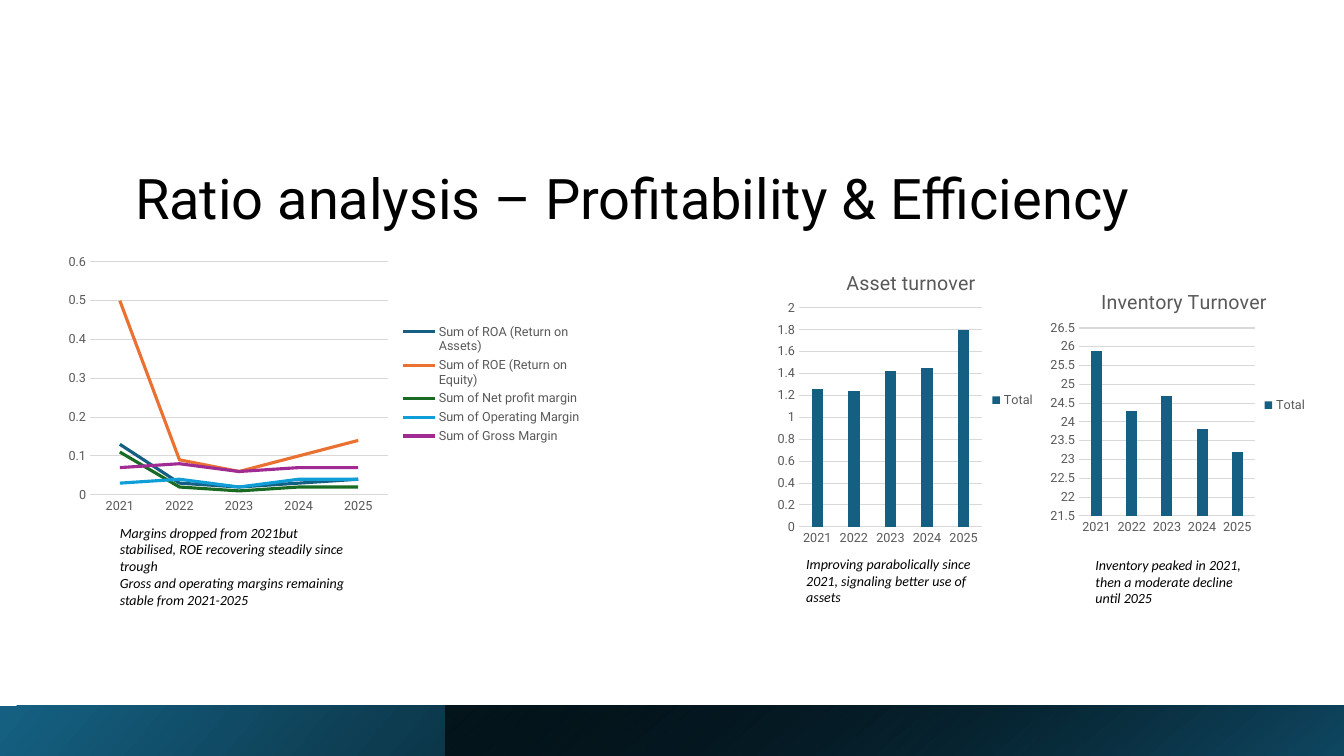
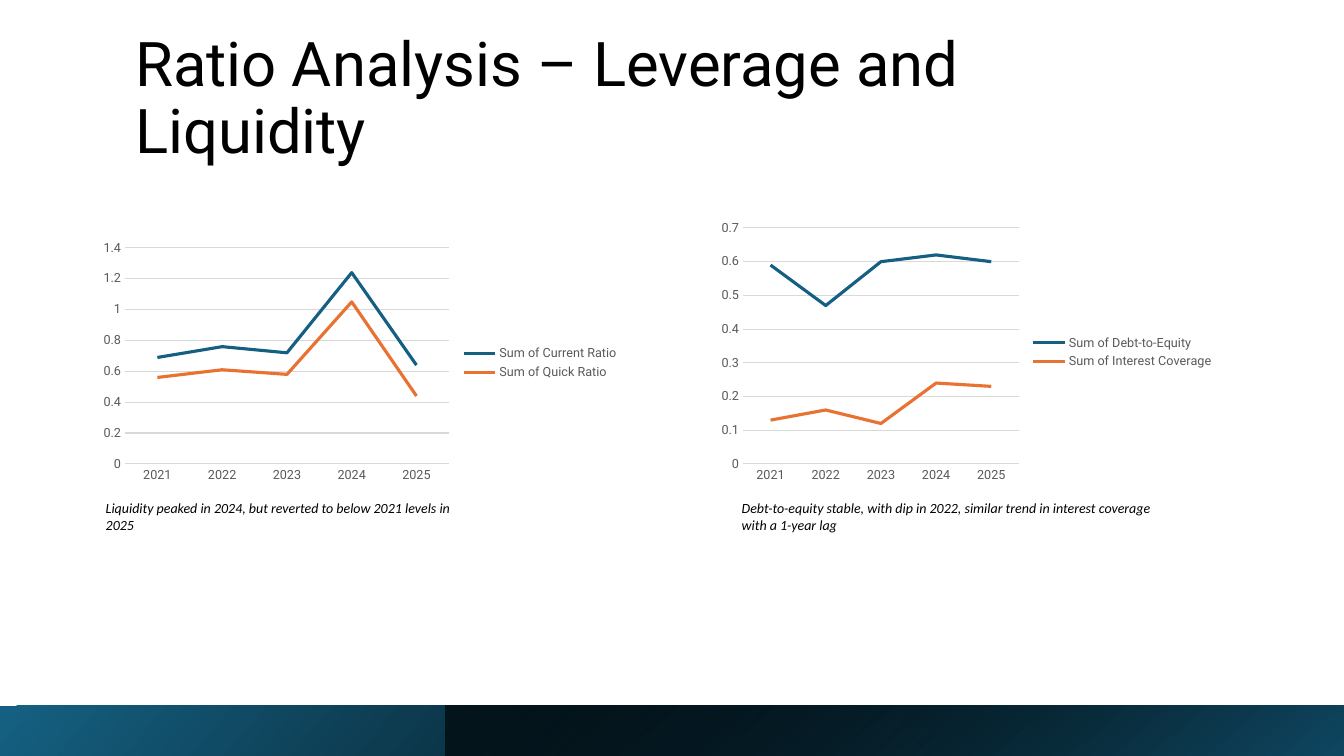
from lxml import etree
from pptx import Presentation
from pptx.chart.data import CategoryChartData
from pptx.dml.color import RGBColor
from pptx.enum import chart as ec, shapes, text
from pptx.oxml.ns import qn
from pptx.util import Pt

BLACK = RGBColor(0, 0, 0)
BLUE = RGBColor(0x15, 0x60, 0x82)
NAVY = RGBColor(0x10, 0x48, 0x62)
ORANGE = RGBColor(0xE9, 0x71, 0x32)
GREEN = RGBColor(0x19, 0x6B, 0x24)
SKY = RGBColor(0x0F, 0x9E, 0xD5)
PURPLE = RGBColor(0xA0, 0x2B, 0x93)
GRAY = RGBColor(0x59, 0x59, 0x59)
GRID = RGBColor(0xD9, 0xD9, 0xD9)
SERIES_COLORS = [BLUE, ORANGE, GREEN, SKY, PURPLE]

HEADING_FONT, NOTE_FONT = "Roboto", "Calibri"
WIDTH, HEIGHT, BAND_HEIGHT = 960, 540, 36
BAND_SPLIT = 318
YEARS = ["2021", "2022", "2023", "2024", "2025"]
LINE, COLUMN = ec.XL_CHART_TYPE.LINE, ec.XL_CHART_TYPE.COLUMN_CLUSTERED

SLIDES = [
    {
        "title": "Ratio analysis – Profitability & Efficiency",
        "title_size": 40,
        "title_box": (89.3, 39.6, 763.2, 129.6),
        "charts": [
            {"kind": LINE, "box": (41.8, 177.8, 380.9, 193),
             "plot": (64.3, 187.1, 212.9, 166.4), "scale": (0, 0.6, 0.1),
             "series": {
                 "Sum of ROA (Return on Assets)": [0.13, 0.03, 0.02, 0.03, 0.04],
                 "Sum of ROE (Return on Equity)": [0.5, 0.09, 0.06, 0.1, 0.14],
                 "Sum of Net profit margin": [0.11, 0.02, 0.01, 0.02, 0.02],
                 "Sum of Operating Margin": [0.03, 0.04, 0.02, 0.04, 0.04],
                 "Sum of Gross Margin": [0.07, 0.08, 0.06, 0.07, 0.07]}},
            {"kind": COLUMN, "box": (551.5, 177.8, 195.1, 216),
             "plot": (570.7, 220, 130.7, 156.4), "scale": (0, 2, 0.2),
             "title": "Asset turnover", "title_at": (602, 189.5),
             "series": {"Total": [1.26, 1.24, 1.42, 1.45, 1.8]}},
            {"kind": COLUMN, "box": (745.9, 193, 195.1, 193),
             "plot": (770.7, 234.3, 125.7, 134.3), "scale": (21.5, 26.5, 0.5),
             "title": "Inventory Turnover", "title_at": (784, 203.6),
             "series": {"Total": [25.9, 24.3, 24.7, 23.8, 23.2]}},
        ],
        "notes": [
            ((78.5, 370.8, 182.2, 67.7),
             "Margins dropped from 2021but stabilised, ROE recovering steadily since trough\n"
             "Gross and operating margins remaining stable from 2021-2025"),
            ((568.8, 393.1, 140.4, 43.9),
             "Improving parabolically since 2021, signaling better use of assets"),
            ((775.4, 393.8, 118.8, 43.9),
             "Inventory peaked in 2021, then a moderate decline until 2025"),
        ],
    },
    {
        "title": "Ratio Analysis – Leverage and Liquidity",
        "title_size": 44,
        "title_box": (89.3, 20, 763.2, 102.5),
        "charts": [
            {"kind": LINE, "box": (66.2, 169.2, 383, 180),
             "plot": (89.3, 177.1, 231.4, 154.3), "scale": (0, 1.4, 0.2),
             "series": {
                 "Sum of Current Ratio": [0.69, 0.76, 0.72, 1.24, 0.64],
                 "Sum of Quick Ratio": [0.56, 0.61, 0.58, 1.05, 0.44]}},
            {"kind": LINE, "box": (507.6, 154.1, 366.5, 195.1),
             "plot": (530.7, 162.9, 197.1, 168.6), "scale": (0, 0.7, 0.1),
             "series": {
                 "Sum of Debt-to-Equity": [0.59, 0.47, 0.6, 0.62, 0.6],
                 "Sum of Interest Coverage": [0.13, 0.16, 0.12, 0.24, 0.23]}},
        ],
        "notes": [
            ((68.4, 353.5, 272.2, 31.7),
             "Liquidity peaked in 2024, but reverted to below 2021 levels in 2025"),
            ((522.7, 353.5, 313.2, 31.7),
             "Debt-to-equity stable, with dip in 2022, similar trend in interest coverage "
             "with a 1-year lag"),
        ],
    },
]


def points(box):
    return [Pt(value) for value in box]


def style_font(font, name, size, color):
    font.name, font.size, font.color.rgb = name, Pt(size), color


def add_title(page, words, size, box):
    title = page.shapes.title
    title.left, title.top, title.width, title.height = points(box)
    frame = title.text_frame
    frame.text = words
    frame.auto_size = text.MSO_AUTO_SIZE.NONE
    frame.word_wrap = True
    frame.vertical_anchor = text.MSO_ANCHOR.BOTTOM
    para = frame.paragraphs[0]
    para.alignment = text.PP_ALIGN.LEFT
    para.line_spacing = 0.9
    style_font(para.runs[0].font, HEADING_FONT, size, BLACK)


def add_band(page, left, stops, angle, first_opacity=None):
    band = page.shapes.add_shape(
        shapes.MSO_SHAPE.RECTANGLE,
        *points((left, HEIGHT - BAND_HEIGHT, WIDTH - left, BAND_HEIGHT)))
    band.shadow.inherit = False
    band.line.fill.background()
    band.fill.gradient()
    band.fill.gradient_angle = 360 - angle
    for stop, (position, color) in zip(band.fill.gradient_stops, stops):
        stop.position, stop.color.rgb = position, color
    if first_opacity:
        color = next(band.element.iter(qn("a:srgbClr")))
        etree.SubElement(color, qn("a:alpha"), val=str(first_opacity * 1000))


def place_part(parent, box, part, inner=False):
    layout = parent.find(qn("c:layout"))
    if layout is None:
        layout = etree.Element(qn("c:layout"))
        text_part = parent.find(qn("c:tx"))
        parent.insert(0 if text_part is None else parent.index(text_part) + 1, layout)
    for child in list(layout):
        layout.remove(child)
    manual = etree.SubElement(layout, qn("c:manualLayout"))
    settings = [("layoutTarget", "inner")] if inner else []
    settings += [("xMode", "edge"), ("yMode", "edge")]
    left, top, width, height = box
    settings += [("x", (part[0] - left) / width), ("y", (part[1] - top) / height)]
    if inner:
        settings += [("w", part[2] / width), ("h", part[3] / height)]
    for tag, value in settings:
        etree.SubElement(manual, qn("c:" + tag), val=str(value))


def style_axes(chart, scale):
    for axis in (chart.category_axis, chart.value_axis):
        axis.major_tick_mark = axis.minor_tick_mark = ec.XL_TICK_MARK.NONE
        style_font(axis.tick_labels.font, HEADING_FONT, 9, GRAY)
    category, value = chart.category_axis, chart.value_axis
    category.has_major_gridlines = False
    value.has_major_gridlines = True
    for line in (category.format.line, value.major_gridlines.format.line):
        line.color.rgb, line.width = GRID, Pt(0.75)
    value.format.line.fill.background()
    value.minimum_scale, value.maximum_scale, value.major_unit = scale
    value.tick_labels.number_format = "General"
    value.tick_labels.number_format_is_linked = False


def add_ratio_chart(page, item):
    data = CategoryChartData()
    data.categories = YEARS
    for name, values in item["series"].items():
        data.add_series(name, values)
    chart = page.shapes.add_chart(item["kind"], *points(item["box"]), data).chart
    style_font(chart.font, HEADING_FONT, 10, BLACK)
    style_axes(chart, item["scale"])
    chart.has_legend = True
    chart.legend.position = ec.XL_LEGEND_POSITION.RIGHT
    chart.legend.include_in_layout = False
    style_font(chart.legend.font, HEADING_FONT, 9, GRAY)

    chart.has_title = "title" in item
    if chart.has_title:
        frame = chart.chart_title.text_frame
        frame.text = item["title"]
        font = frame.paragraphs[0].runs[0].font
        style_font(font, HEADING_FONT, 14, GRAY)
        font.bold = False
        chart.chart_title.include_in_layout = False
        place_part(frame._txBody.getparent().getparent(), item["box"], item["title_at"])

    plot = chart.plots[0]
    plot.vary_by_categories = False
    if item["kind"] == COLUMN:
        plot.gap_width, plot.overlap = 219, -27
    for series, color in zip(plot.series, SERIES_COLORS):
        if item["kind"] == LINE:
            series.smooth = False
            series.format.line.color.rgb = color
            series.format.line.width = Pt(2.25)
        else:
            series.format.fill.solid()
            series.format.fill.fore_color.rgb = color
    plot_area = next(chart.element.iter(qn("c:plotArea")))
    place_part(plot_area, item["box"], item["plot"], inner=True)


def add_note(page, box, words):
    frame = page.shapes.add_textbox(*points(box)).text_frame
    frame.word_wrap = True
    frame.text = words
    for para in frame.paragraphs:
        for span in para.runs:
            style_font(span.font, NOTE_FONT, 10, BLACK)
            span.font.italic = True


def main():
    deck = Presentation()
    deck.slide_width, deck.slide_height = Pt(WIDTH), Pt(HEIGHT)
    for content in SLIDES:
        page = deck.slides.add_slide(deck.slide_layouts[5])
        add_title(page, content["title"], content["title_size"], content["title_box"])
        add_band(page, 0, [(0, BLUE), (0.78, BLACK)], 40)
        add_band(page, BAND_SPLIT, [(0, BLACK), (1, NAVY)], 50, first_opacity=63)
        for item in content["charts"]:
            add_ratio_chart(page, item)
        for box, words in content["notes"]:
            add_note(page, box, words)
    deck.save("out.pptx")


if __name__ == "__main__":
    main()
